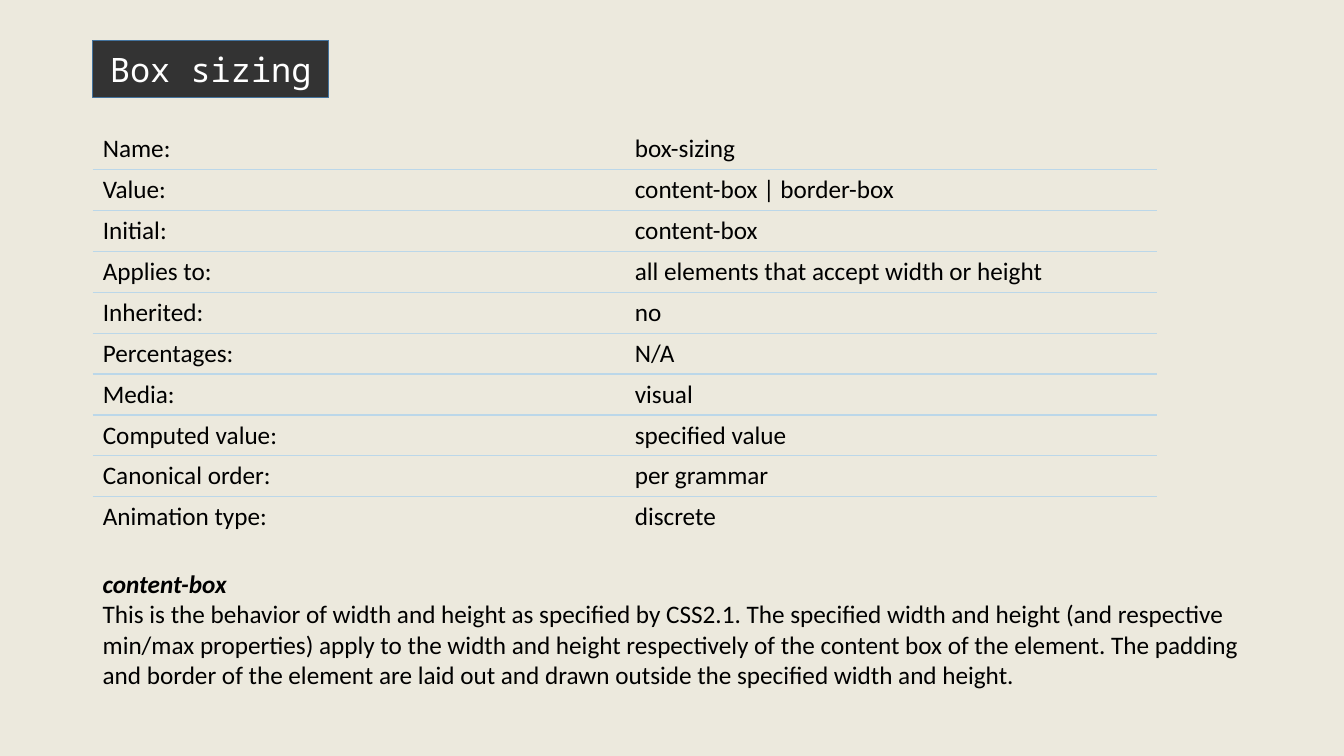
"""Build the slide describing the CSS box-sizing property."""
from dataclasses import dataclass

from lxml import etree
from pptx import Presentation
from pptx import util as u
from pptx.dml.color import RGBColor
from pptx.enum import text
from pptx.oxml import ns

TITLE = "Box sizing"
PROPERTIES = [
    ("Name:", "box-sizing"),
    ("Value:", "content-box\u00a0|\u00a0border-box"),
    ("Initial:", "content-box"),
    ("Applies to:", "all elements that accept width or height"),
    ("Inherited:", "no"),
    ("Percentages:", "N/A"),
    ("Media:", "visual"),
    ("Computed value:", "specified value"),
    ("Canonical order:", "per grammar"),
    ("Animation type:", "discrete"),
]
TERM = "content-box"
DEFINITION = (
    "This is the behavior of width and height as specified by CSS2.1. "
    "The specified width and height (and respective min/max properties) apply "
    "to the width and height respectively of the content box of the element. "
    "The padding and border of the element are laid out and drawn outside "
    "the specified width and height."
)


@dataclass(frozen=True)
class Theme:
    """Colours, fonts and type sizes."""
    background: str = "ECE9DD"
    banner: str = "333333"
    banner_line: str = "43739E"
    banner_text: str = "FFFFFF"
    ink: str = "000000"
    rule: str = "BBD7E9"
    body_font: str = "Calibri"
    title_font: str = "Noto Sans Mono"
    body_size: int = 18
    title_size: int = 24


THEME = Theme()
LEFT = 66.24
TABLE_TOP, COLUMN_WIDTH, ROW_HEIGHT = 92, 380, 29.2


def color(value):
    """Turn a hex string into a colour."""
    return RGBColor.from_string(value)


def place(shape, left, top, width, height):
    """Set the position and size of a shape in points."""
    shape.left, shape.top = u.Pt(left), u.Pt(top)
    shape.width, shape.height = u.Pt(width), u.Pt(height)


def add_run(paragraph, content, font=THEME.body_font, size=THEME.body_size,
            ink=THEME.ink, strong=False):
    """Append a formatted run."""
    run = paragraph.add_run()
    run.text = content
    run.font.name, run.font.size = font, u.Pt(size)
    run.font.color.rgb = color(ink)
    run.font.bold = run.font.italic = strong


def set_borders(cell, ruled_sides):
    """Draw rules on the given sides of a cell and clear the others."""
    properties = cell._tc.get_or_add_tcPr()
    for index, side in enumerate("LRTB"):
        line = etree.Element(ns.qn(f"a:ln{side}"), w=str(u.Pt(1)))
        if side in ruled_sides:
            fill = etree.SubElement(line, ns.qn("a:solidFill"))
            etree.SubElement(fill, ns.qn("a:srgbClr"), val=THEME.rule)
        else:
            etree.SubElement(line, ns.qn("a:noFill"))
        properties.insert(index, line)


def add_banner(slide):
    """Format the title placeholder as a pointed banner."""
    title = slide.shapes.title
    place(title, LEFT, 28.8, 168.5, 41)
    geometry = etree.SubElement(title._element.spPr, ns.qn("a:prstGeom"), prst="homePlate")
    etree.SubElement(geometry, ns.qn("a:avLst"))
    title.fill.solid()
    title.fill.fore_color.rgb = color(THEME.banner)
    title.line.color.rgb = color(THEME.banner_line)
    title.line.width = u.Pt(1)
    frame = title.text_frame
    frame.word_wrap = False
    frame.auto_size = text.MSO_AUTO_SIZE.NONE
    frame.vertical_anchor = text.MSO_ANCHOR.MIDDLE
    paragraph = frame.paragraphs[0]
    paragraph.alignment = text.PP_ALIGN.CENTER
    paragraph.line_spacing = 1.0
    paragraph.space_before = u.Pt(0)
    add_run(paragraph, TITLE, THEME.title_font, THEME.title_size, THEME.banner_text)


def add_properties(slide):
    """Add the two-column property table."""
    count = len(PROPERTIES)
    table = slide.shapes.add_table(
        count, 2, u.Pt(LEFT), u.Pt(TABLE_TOP),
        u.Pt(2 * COLUMN_WIDTH), u.Pt(count * ROW_HEIGHT)).table
    table.first_row = table.horz_banding = False
    for row, values in enumerate(PROPERTIES):
        table.rows[row].height = u.Pt(ROW_HEIGHT)
        sides = ("T" if row > 0 else "") + ("B" if row < count - 1 else "")
        for column, value in enumerate(values):
            cell = table.cell(row, column)
            cell.fill.background()
            cell.vertical_anchor = text.MSO_ANCHOR.MIDDLE
            set_borders(cell, sides)
            add_run(cell.text_frame.paragraphs[0], value)


def add_definition(slide):
    """Add the term and its explanation."""
    box = slide.shapes.add_textbox(u.Pt(LEFT), u.Pt(402.5), u.Pt(826.5), u.Pt(94.5))
    frame = box.text_frame
    frame.word_wrap = True
    frame.auto_size = text.MSO_AUTO_SIZE.SHAPE_TO_FIT_TEXT
    add_run(frame.paragraphs[0], TERM, strong=True)
    add_run(frame.add_paragraph(), DEFINITION)


presentation = Presentation()
presentation.slide_width, presentation.slide_height = u.Pt(960), u.Pt(540)
slide = presentation.slides.add_slide(presentation.slide_layouts[5])
slide.background.fill.solid()
slide.background.fill.fore_color.rgb = color(THEME.background)
add_properties(slide)
add_banner(slide)
add_definition(slide)
presentation.save("out.pptx")
